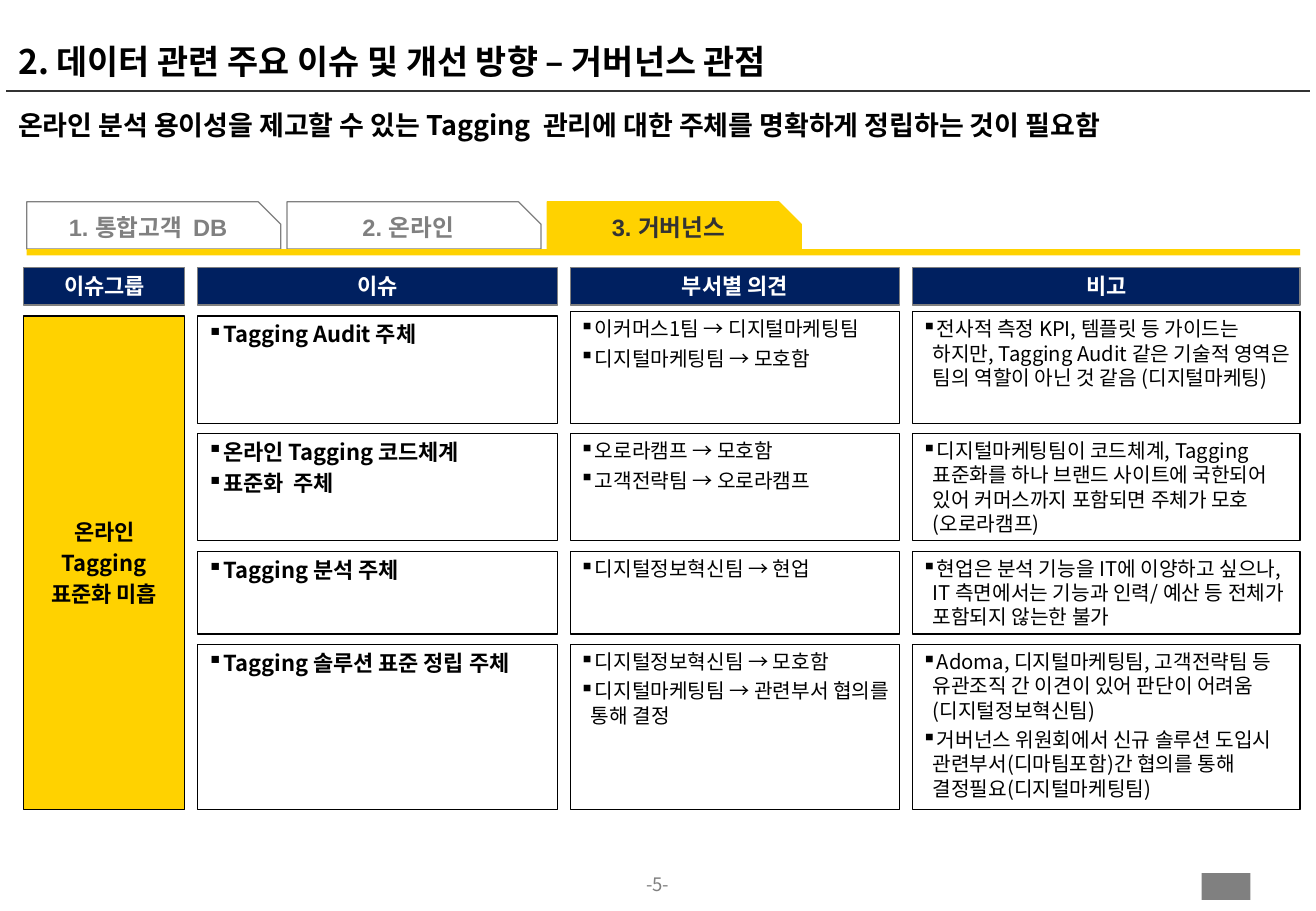
from lxml import etree
from pptx import Presentation
from pptx.dml.color import RGBColor
from pptx.enum.shapes import MSO_CONNECTOR as CONN, MSO_SHAPE as SHAPE
from pptx.enum.text import MSO_ANCHOR as ANCHOR, MSO_AUTO_SIZE as AUTOSIZE, PP_ALIGN as ALIGN
from pptx.oxml.ns import qn
from pptx.util import Cm, Pt

FONT = "Noto Sans CJK KR"
BLACK, WHITE, GRAY, DARK = "000000", "FFFFFF", "808080", "333333"
YELLOW, NAVY = "FFD200", "002060"

TITLE = "2. 데이터 관련 주요 이슈 및 개선 방향 – 거버넌스 관점"
MESSAGE = "온라인 분석 용이성을 제고할 수 있는 Tagging  관리에 대한 주체를 명확하게 정립하는 것이 필요함"
PAGE = "-5-"
TABS = ["1. 통합고객  DB", "2. 온라인", "3. 거버넌스"]
ACTIVE_TAB = 2
HEADERS = ["이슈그룹", "이슈", "부서별 의견", "비고"]
GROUP = ["온라인", "Tagging", "표준화 미흡"]
ROWS = [
    (["Tagging Audit 주체"],
     ["이커머스1팀 → 디지털마케팅팀", "디지털마케팅팀 → 모호함"],
     ["전사적 측정 KPI, 템플릿 등 가이드는 하지만, Tagging Audit 같은 기술적 영역은 팀의 역할이 아닌 것 같음 (디지털마케팅)"]),
    (["온라인 Tagging 코드체계", "표준화  주체"],
     ["오로라캠프 → 모호함", "고객전략팀 → 오로라캠프"],
     ["디지털마케팅팀이 코드체계, Tagging 표준화를 하나 브랜드 사이트에 국한되어 있어 커머스까지 포함되면 주체가 모호 (오로라캠프)"]),
    (["Tagging 분석 주체"],
     ["디지털정보혁신팀 → 현업"],
     ["현업은 분석 기능을 IT에 이양하고 싶으나, IT 측면에서는 기능과 인력/ 예산 등 전체가 포함되지 않는한 불가"]),
    (["Tagging 솔루션 표준 정립 주체"],
     ["디지털정보혁신팀 → 모호함", "디지털마케팅팀 → 관련부서 협의를 통해 결정"],
     ["Adoma, 디지털마케팅팀, 고객전략팀 등 유관조직 간 이견이 있어 판단이 어려움(디지털정보혁신팀)",
      "거버넌스 위원회에서 신규 솔루션 도입시 관련부서(디마팀포함)간 협의를 통해 결정필요(디지털마케팅팀)"]),
]

COL_WIDTHS, COL_GAP, GRID_LEFT = [3.36, 7.52, 6.88, 8.11], 0.27, 0.5
ROW_HEIGHTS, ROW_GAP, GRID_TOP = [2.24, 2.24, 1.73, 3.45], 0.22, 6.61
HEADER_TOP, HEADER_HEIGHT, FIRST_ROW_LIFT = 5.59, 0.79, 0.09
TAB_LEFT, TAB_TOP, TAB_WIDTH, TAB_HEIGHT, TAB_PITCH = 0.56, 4.22, 5.31, 0.99, 5.44
CELL_INSETS = (0.2, 0.1, 0.1, 0.1)


def rgb(code):
    return RGBColor.from_string(code)


def offsets(start, sizes, gap):
    return [start + sum(sizes[:i]) + gap * i for i in range(len(sizes))]


def write(tf, lines, size, color=BLACK, bold=False, align=ALIGN.LEFT, anchor=ANCHOR.TOP,
          insets=(0.25, 0.13, 0.25, 0.13), font=FONT, leading=1.2, bullet=False):
    tf.word_wrap = True
    tf.auto_size = AUTOSIZE.NONE
    tf.vertical_anchor = anchor
    tf.margin_left, tf.margin_top, tf.margin_right, tf.margin_bottom = map(Cm, insets)
    for i, line in enumerate(lines):
        p = tf.add_paragraph() if i else tf.paragraphs[0]
        p.alignment = align
        p.line_spacing = Pt(round(size * leading, 1))
        p.space_before = Pt(3 if i else 0)
        pPr = p._p.get_or_add_pPr()
        indent = Cm(0.23) if bullet else 0
        pPr.set("marL", str(indent))
        pPr.set("indent", str(-indent))
        if bullet:
            etree.SubElement(pPr, qn("a:buChar")).set("char", "▪")
        else:
            etree.SubElement(pPr, qn("a:buNone"))
        r = p.add_run()
        r.text = line
        r.font.size = Pt(size)
        r.font.bold = bold
        r.font.color.rgb = rgb(color)
        r.font.name = font
        etree.SubElement(r._r.get_or_add_rPr(), qn("a:ea")).set("typeface", FONT)


def add_box(s, x, y, w, h, fill=None, line=None, kind=SHAPE.RECTANGLE):
    sp = s.shapes.add_shape(kind, Cm(x), Cm(y), Cm(w), Cm(h))
    sp.shadow.inherit = False
    if fill:
        sp.fill.solid()
        sp.fill.fore_color.rgb = rgb(fill)
    else:
        sp.fill.background()
    if line:
        sp.line.color.rgb = rgb(line)
        sp.line.width = Pt(0.75)
    else:
        sp.line.fill.background()
    return sp


def place(sp, x, y, w, h):
    sp.left, sp.top, sp.width, sp.height = Cm(x), Cm(y), Cm(w), Cm(h)


def add_heading(s):
    title, body = s.shapes.title, s.placeholders[1]
    place(title, 0.13, 0.13, 27.23, 1.7)
    write(title.text_frame, [TITLE], 20, bold=True, anchor=ANCHOR.BOTTOM, leading=1.02)
    place(body, 0.13, 2.01, 27.25, 1.42)
    write(body.text_frame, [MESSAGE], 16, bold=True, leading=1.44)
    rule = s.shapes.add_connector(CONN.STRAIGHT, Cm(0.13), Cm(1.9), Cm(27.38), Cm(1.9))
    rule.line.color.rgb = rgb(DARK)
    rule.line.width = Pt(1)
    etree.SubElement(rule._element.spPr, qn("a:effectLst"))


def add_tabs(s):
    for i, label in enumerate(TABS):
        active = i == ACTIVE_TAB
        tab = add_box(s, TAB_LEFT + i * TAB_PITCH, TAB_TOP, TAB_WIDTH, TAB_HEIGHT,
                      YELLOW if active else WHITE, YELLOW if active else GRAY,
                      SHAPE.SNIP_1_RECTANGLE)
        tab.adjustments[0] = 0.475
        write(tab.text_frame, [label], 14, DARK if active else GRAY, True, ALIGN.CENTER,
              insets=(0.1, 0, 0.1, 0.2), font="Arial")
    add_box(s, TAB_LEFT, TAB_TOP + TAB_HEIGHT, 26.62, 0.13, YELLOW)


def add_grid(s):
    xs = offsets(GRID_LEFT, COL_WIDTHS, COL_GAP)
    ys = offsets(GRID_TOP, ROW_HEIGHTS, ROW_GAP)
    for x, w, label in zip(xs, COL_WIDTHS, HEADERS):
        head = add_box(s, x, HEADER_TOP, w, HEADER_HEIGHT, NAVY, GRAY)
        write(head.text_frame, [label], 13, WHITE, True, ALIGN.CENTER, ANCHOR.MIDDLE)
    group = add_box(s, xs[0], ys[0], COL_WIDTHS[0], ys[-1] + ROW_HEIGHTS[-1] - ys[0], YELLOW, BLACK)
    write(group.text_frame, GROUP, 13, BLACK, True, ALIGN.CENTER, ANCHOR.MIDDLE, (0.1,) * 4)
    for i, (y, h, row) in enumerate(zip(ys, ROW_HEIGHTS, ROWS)):
        for j, (x, w, lines) in enumerate(zip(xs[1:], COL_WIDTHS[1:], row)):
            is_issue = j == 0
            lift = FIRST_ROW_LIFT if i == 0 and not is_issue else 0
            cell = add_box(s, x, y - lift, w, h + lift, line=BLACK)
            write(cell.text_frame, lines, 13 if is_issue else 12, bold=is_issue,
                  insets=CELL_INSETS, bullet=True)


def add_footer(s):
    page = s.shapes.add_textbox(Cm(12.67), Cm(18.26), Cm(2.16), Cm(0.56))
    write(page.text_frame, [PAGE], 11, GRAY, align=ALIGN.CENTER, insets=(0,) * 4)
    add_box(s, 25.12, 18.26, 1.02, 0.56, GRAY)


def main():
    prs = Presentation()
    prs.slide_width, prs.slide_height = Cm(27.51), Cm(19.05)
    s = prs.slides.add_slide(prs.slide_layouts[1])
    add_heading(s)
    add_tabs(s)
    add_grid(s)
    add_footer(s)
    prs.save("out.pptx")


if __name__ == "__main__":
    main()
